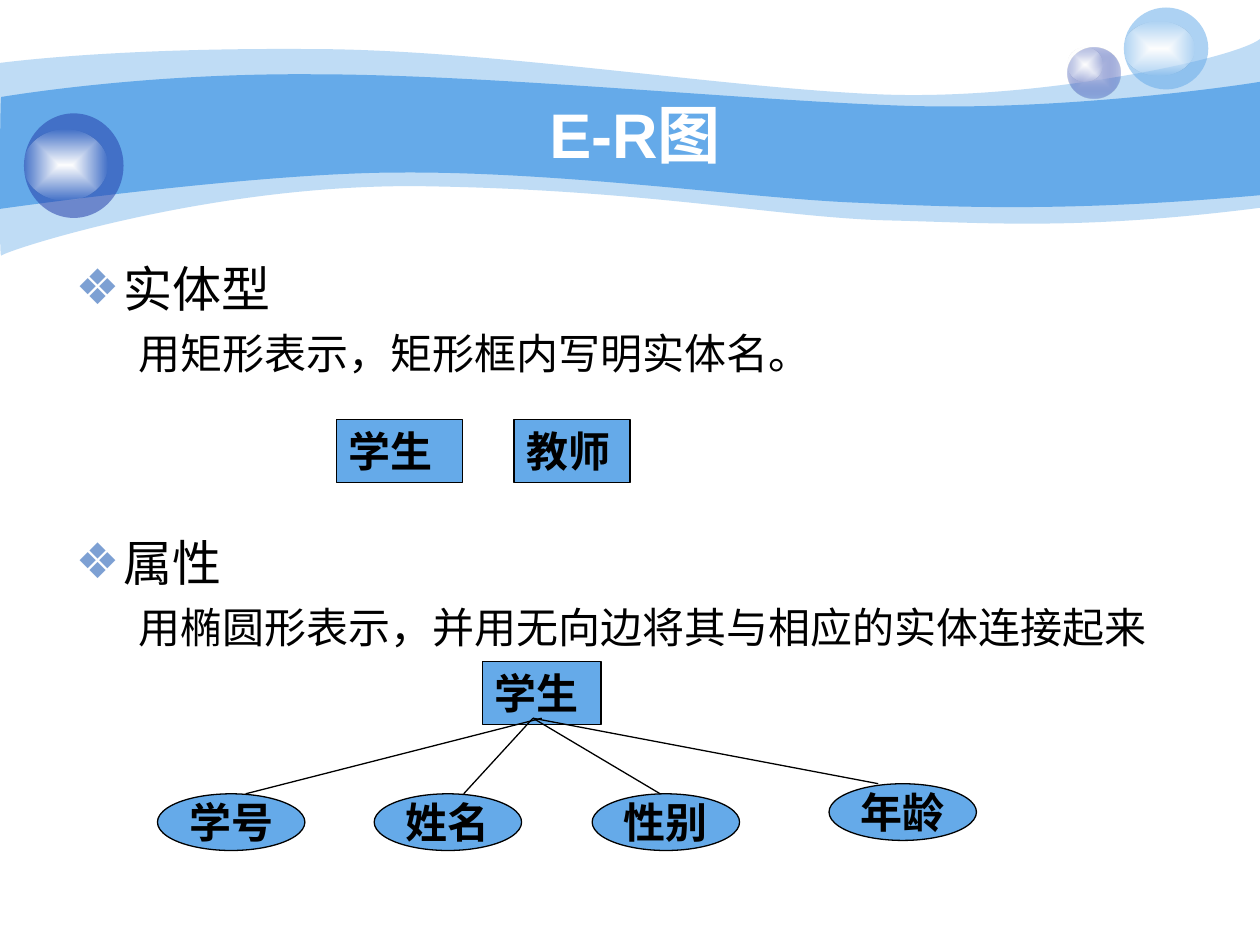
import lxml.etree
import pptx
import pptx.dml.color
import pptx.enum.shapes
import pptx.enum.text
import pptx.oxml.ns
import pptx.util

Inches, Pt = pptx.util.Inches, pptx.util.Pt
Kind = pptx.enum.shapes.MSO_SHAPE
Align, Anchor = pptx.enum.text.PP_ALIGN, pptx.enum.text.MSO_ANCHOR
Fit = pptx.enum.text.MSO_AUTO_SIZE
qn = pptx.oxml.ns.qn
SKY, NAVY, WHITE, BLACK, MARK = "65AAE9", "233DA9", "FFFFFF", "000000", "7DA0D3"

TITLE = "E-R图"
BODY = [
    (0, "实体型", 0),
    (1, "用矩形表示，矩形框内写明实体名。", 6),
    (0, "属性", 88),
    (1, "用椭圆形表示，并用无向边将其与相应的实体连接起来", 6),
]
WAVES = [
    (41, (0, 0.5), [
        (0.24, 0.47, 1.07, 0.38, 2.47, 0.39), (3.86, 0.39, 5.75, 0.7, 6.99, 0.75),
        (8.22, 0.8, 9.8, 0.47, 10, 0.31), (10, 1.65),
        (8.58, 1.83, 7.87, 1.77, 7.05, 1.75), (6.22, 1.73, 5.15, 1.51, 3.43, 1.48),
        (1.72, 1.44, 0.04, 1.99, 0.01, 2.03), (-0.01, 2.08, 0, 0.75, 0, 0.5)]),
    (100, (0.01, 0.77), [
        (0.02, 0.77, 1.1, 0.58, 2.48, 0.59), (3.86, 0.59, 5.95, 0.8, 7.18, 0.84),
        (8.41, 0.88, 9.76, 0.69, 10, 0.65), (10, 1.55),
        (8.53, 1.68, 7.65, 1.65, 6.82, 1.61), (5.99, 1.58, 4.47, 1.36, 3.17, 1.37),
        (2.03, 1.37, -0.02, 1.66, -0.01, 1.66), (0, 1.66, 0, 0.77, 0.01, 0.77)]),
]
GLOW = [(WHITE, 100), (WHITE, 0)]
BALLS = [
    ((8.47, 0.38, 0.42, 0.4), [("C7CEE9", 100), (NAVY, 31)]),
    ((8.47, 0.38, 0.28, 0.27), GLOW),
    ((8.92, 0.06, 0.67, 0.65), [(SKY, 53)]),
    ((8.92, 0.17, 0.56, 0.43), GLOW),
    ((0.19, 0.9, 0.79, 0.83), [(NAVY, 53)]),
    ((0.19, 1.03, 0.66, 0.56), GLOW),
]
BOXES = [("学生", 2.67, 3.33, 1), ("教师", 4.08, 3.33, 0.92), ("学生", 3.83, 5.25, 0.94)]
OVALS = [("学号", 1.25, 6.3), ("年龄", 6.58, 6.22), ("性别", 4.7, 6.3), ("姓名", 2.97, 6.3)]
EDGES = [(4.3, 1.95, 6.3), (4.23, 3.68, 6.3), (4.23, 5.24, 6.3), (4.23, 6.97, 6.22)]


def tint(text):
    return pptx.dml.color.RGBColor.from_string(text)


def add(parent, tag, **attrs):
    return lxml.etree.SubElement(parent, qn(tag), attrs)


def paint(shape, stops, line=None):
    shape.shadow.inherit = False
    fill = shape.fill
    if len(stops) == 1:
        fill.solid()
        fill.fore_color.rgb = tint(stops[0][0])
    else:
        fill.gradient()
        for spot, (stop, (color, _)) in enumerate(zip(fill.gradient_stops, stops)):
            stop.color.rgb = tint(color)
            stop.position = spot
        grad = shape.element.spPr.find(qn("a:gradFill"))
        grad.remove(grad.find(qn("a:lin")))
        side = "50000"
        add(add(grad, "a:path", path="rect"), "a:fillToRect", l=side, t=side, r=side, b=side)
    for color, (_, alpha) in zip(shape.element.spPr.findall(".//" + qn("a:srgbClr")), stops):
        if alpha < 100:
            add(color, "a:alpha", val=str(alpha * 1000))
    if line:
        shape.line.color.rgb = tint(line)
        shape.line.width = Pt(0.75)
    else:
        shape.line.fill.background()


def write(para, text, size, face, color, bold=False):
    run = para.add_run()
    run.text = text
    font = run.font
    font.size, font.name, font.bold = Pt(size), face, bold
    font.color.rgb = tint(color)


def place(shape, *area):
    shape.left, shape.top, shape.width, shape.height = map(Inches, area)


def wave(shapes, start, parts):
    form = shapes.build_freeform(*map(Inches, start))
    for part in parts:
        pairs = zip(part[::2], part[1::2])
        form.add_line_segments([(Inches(x), Inches(y)) for x, y in pairs], close=False)
    shape = form.convert_to_shape()
    track = shape.element.find(".//" + qn("a:path"))
    steps = iter(track.findall(qn("a:lnTo")))
    for part in parts:
        group = [next(steps) for _ in part[::2]]
        if len(group) == 3:
            curve = add(track, "a:cubicBezTo")
            for step in group:
                curve.append(step[0])
                track.remove(step)
        else:
            track.append(group[0])
    add(track, "a:close")
    return shape


def label(shapes, kind, text, *area):
    shape = shapes.add_shape(kind, *map(Inches, area))
    paint(shape, [(SKY, 100)], BLACK)
    frame, para = shape.text_frame, shape.text_frame.paragraphs[0]
    oval = kind == Kind.OVAL
    frame.word_wrap = not oval
    frame.auto_size = Fit.NONE if oval else Fit.SHAPE_TO_FIT_TEXT
    frame.vertical_anchor = Anchor.MIDDLE if oval else Anchor.TOP
    para.alignment = Align.CENTER if oval else Align.LEFT
    write(para, text, 24, "Times New Roman", BLACK, True)


def fill_body(body):
    place(body, 0.5, 2, 9, 4.92)
    frame = body.text_frame
    frame.auto_size = Fit.NONE
    for i, (level, text, gap) in enumerate(BODY):
        para = frame.add_paragraph() if i else frame.paragraphs[0]
        para.level = level
        para.space_before = Pt(gap)
        props = para._p.get_or_add_pPr()
        left, hang = (0.81, -0.31) if level else (0.38, -0.38)
        props.set("marL", str(Inches(left)))
        props.set("indent", str(Inches(hang)))
        if level:
            add(props, "a:buNone")
        else:
            add(add(props, "a:buClr"), "a:srgbClr", val=MARK)
            add(props, "a:buChar", char="❖")
        write(para, text, 24 if level else 28, "Arial", BLACK)


def main():
    """Build the slide on entity-relationship diagrams."""
    deck = pptx.Presentation()
    deck.slide_width, deck.slide_height = Inches(10), Inches(7.5)
    slide = deck.slides.add_slide(deck.slide_layouts[1])
    shapes = slide.shapes
    for alpha, start, parts in WAVES:
        paint(wave(shapes, start, parts), [(SKY, alpha)])
    for area, stops in BALLS:
        paint(shapes.add_shape(Kind.OVAL, *map(Inches, area)), stops)

    title, body = shapes.title, slide.placeholders[1]
    for item in (title, body):
        item.element.getparent().append(item.element)
    place(title, 1, 0.75, 8.08, 0.62)
    title.text_frame.auto_size = Fit.NONE
    title.text_frame.vertical_anchor = Anchor.MIDDLE
    head = title.text_frame.paragraphs[0]
    head.alignment = Align.CENTER
    write(head, TITLE, 36, "Arial", WHITE, True)
    fill_body(body)

    for text, left, top, width in BOXES:
        label(shapes, Kind.RECTANGLE, text, left, top, width, 0.5)
    for text, left, top in OVALS:
        label(shapes, Kind.OVAL, text, left, top, 1.17, 0.45)
    for start, end, low in EDGES:
        edge = shapes.add_connector(pptx.enum.shapes.MSO_CONNECTOR.STRAIGHT,
                                    *map(Inches, (start, 5.7, end, low)))
        edge.line.color.rgb = tint(BLACK)
        edge.line.width = Pt(0.75)
        add(edge.element.spPr, "a:effectLst")
    deck.save("out.pptx")


if __name__ == "__main__":
    main()
